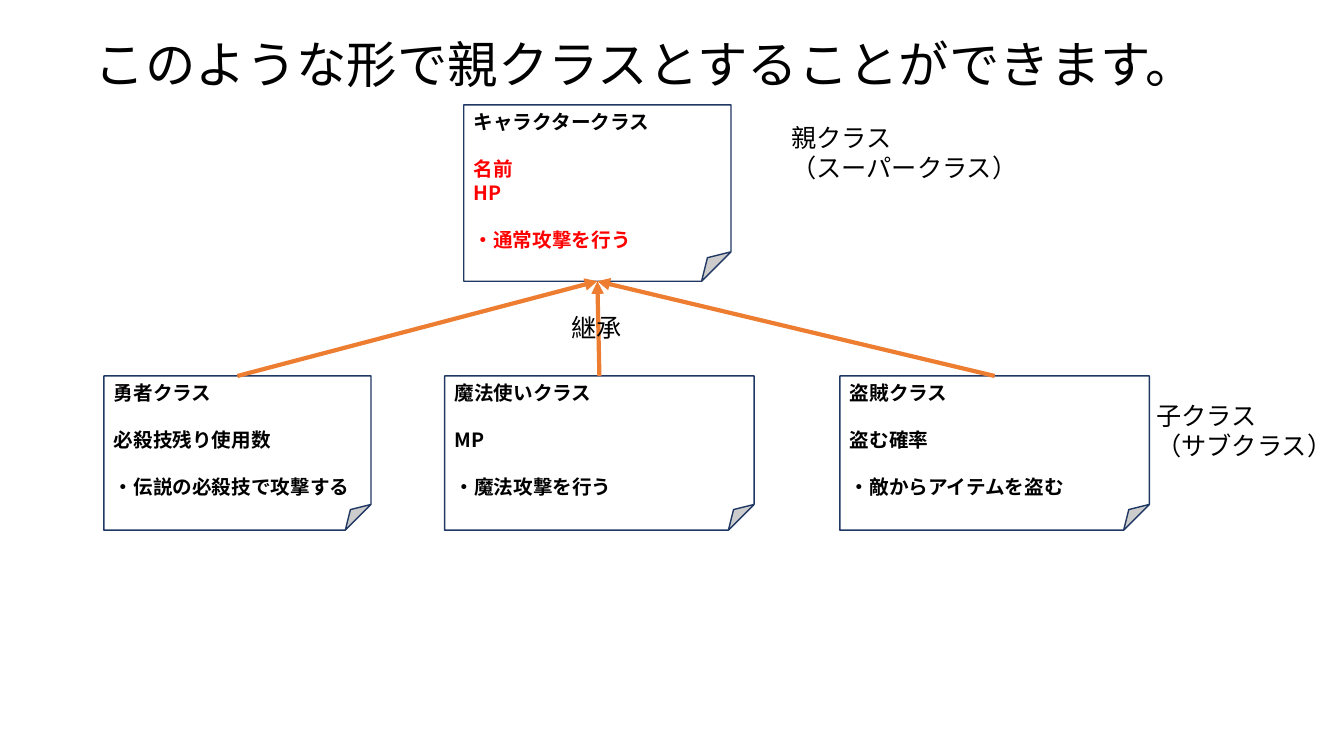
from dataclasses import dataclass

from lxml import etree
from pptx import Presentation
from pptx.dml.color import RGBColor
from pptx.enum.shapes import MSO_CONNECTOR, MSO_SHAPE
from pptx.enum.text import MSO_ANCHOR, MSO_AUTO_SIZE, PP_ALIGN
from pptx.oxml.ns import qn
from pptx.util import Inches, Pt

STRAIGHT = MSO_CONNECTOR.STRAIGHT
FOLDED_CORNER = MSO_SHAPE.FOLDED_CORNER
TOP, MIDDLE = MSO_ANCHOR.TOP, MSO_ANCHOR.MIDDLE
NO_FIT = MSO_AUTO_SIZE.NONE
LEFT = PP_ALIGN.LEFT
TITLE_ONLY = 5


@dataclass(frozen=True)
class Theme:
    """Fonts, colours and sizes of the slide."""
    font: str = "Noto Sans CJK JP"
    ink: RGBColor = RGBColor(0, 0, 0)
    shared: RGBColor = RGBColor(255, 0, 0)
    paper: RGBColor = RGBColor(255, 255, 255)
    border: RGBColor = RGBColor(0x20, 0x38, 0x64)
    arrow: RGBColor = RGBColor(0xED, 0x7D, 0x31)
    title_size: Pt = Pt(36)
    label_size: Pt = Pt(18)
    card_size: Pt = Pt(14)
    group_gap: Pt = Pt(16.8)
    border_width: Pt = Pt(1)
    arrow_width: Pt = Pt(3)


THEME = Theme()

CARD_TOP, CARD_HEIGHT = 3.73, 1.53
PARENT_CARD = (4.6, 1.04, 2.65, 1.75)
PARENT_GROUPS = [["キャラクタークラス"], ["名前", "HP"], ["・通常攻撃を行う"]]
CHILDREN = [
    (1.03, 2.65, [["勇者クラス"], ["必殺技残り使用数"], ["・伝説の必殺技で攻撃する"]]),
    (4.41, 3.07, [["魔法使いクラス"], ["MP"], ["・魔法攻撃を行う"]]),
    (8.33, 3.07, [["盗賊クラス"], ["盗む確率"], ["・敵からアイテムを盗む"]]),
]
LABELS = [
    ((7.75, 1.16, 2.47, 0.71), ["親クラス", "（スーパークラス）"]),
    ((11.37, 3.92, 1.97, 0.71), ["子クラス", "（サブクラス）"]),
    ((5.57, 3.05, 0.71, 0.4), ["継承"]),
]


def set_values(target, values):
    """Set each named attribute on the target."""
    for name, value in values.items():
        setattr(target, name, value)


def write_line(para, text, size, color=THEME.ink, bold=False):
    """Write one left-aligned line of text into a paragraph."""
    para.alignment = LEFT
    span = para.add_run()
    span.text = text
    set_values(span.font, {"name": THEME.font, "size": size, "bold": bold})
    span.font.color.rgb = color
    east_asian = etree.SubElement(span.font._element, qn("a:ea"))
    east_asian.set("typeface", THEME.font)


def next_para(frame, index):
    """Return the first paragraph, or a new one after it."""
    return frame.add_paragraph() if index else frame.paragraphs[0]


def add_title(page, text):
    """Place and fill the title."""
    title = page.shapes.title
    set_values(title, {"left": Inches(0.84), "top": Inches(0.27),
                       "width": Inches(11.27), "height": Inches(0.71)})
    set_values(title.text_frame, {"word_wrap": True, "auto_size": NO_FIT,
                                  "vertical_anchor": MIDDLE})
    write_line(title.text_frame.paragraphs[0], text, THEME.title_size)


def add_card(page, place, groups, member_color=THEME.ink):
    """Draw a class card with groups of lines set apart by a gap."""
    card = page.shapes.add_shape(FOLDED_CORNER, *map(Inches, place))
    card.shadow.inherit = False
    card.fill.solid()
    card.fill.fore_color.rgb = THEME.paper
    card.line.color.rgb = THEME.border
    card.line.width = THEME.border_width
    frame = card.text_frame
    set_values(frame, {"word_wrap": True, "vertical_anchor": TOP})
    lines = [(group, row, text) for group, texts in enumerate(groups)
             for row, text in enumerate(texts)]
    for index, (group, row, text) in enumerate(lines):
        para = next_para(frame, index)
        if group and row == 0:
            para.space_before = THEME.group_gap
        color = member_color if group else THEME.ink
        write_line(para, text, THEME.card_size, color, bold=True)
    return card


def add_label(page, place, lines):
    """Add a free-standing label."""
    box = page.shapes.add_textbox(*map(Inches, place))
    box.text_frame.word_wrap = False
    for index, text in enumerate(lines):
        write_line(next_para(box.text_frame, index), text, THEME.label_size)


def add_inheritance_arrow(page, child, parent):
    """Join the top of a child card to the bottom of its parent."""
    arrow = page.shapes.add_connector(STRAIGHT, 0, 0, 0, 0)
    arrow.begin_connect(child, 0)
    arrow.end_connect(parent, 2)
    arrow.line.color.rgb = THEME.arrow
    arrow.line.width = THEME.arrow_width
    etree.SubElement(arrow.line._get_or_add_ln(), qn("a:tailEnd"), type="triangle")
    etree.SubElement(arrow._element.spPr, qn("a:effectLst"))


def main():
    """Build the inheritance slide and save it."""
    deck = Presentation()
    set_values(deck, {"slide_width": Inches(13.33), "slide_height": Inches(7.5)})
    page = deck.slides.add_slide(deck.slide_layouts[TITLE_ONLY])
    add_title(page, "このような形で親クラスとすることができます。")
    children = [add_card(page, (left, CARD_TOP, width, CARD_HEIGHT), groups)
                for left, width, groups in CHILDREN]
    parent = add_card(page, PARENT_CARD, PARENT_GROUPS, THEME.shared)
    for child in children:
        add_inheritance_arrow(page, child, parent)
    for place, lines in LABELS:
        add_label(page, place, lines)
    deck.save("out.pptx")


if __name__ == "__main__":
    main()
